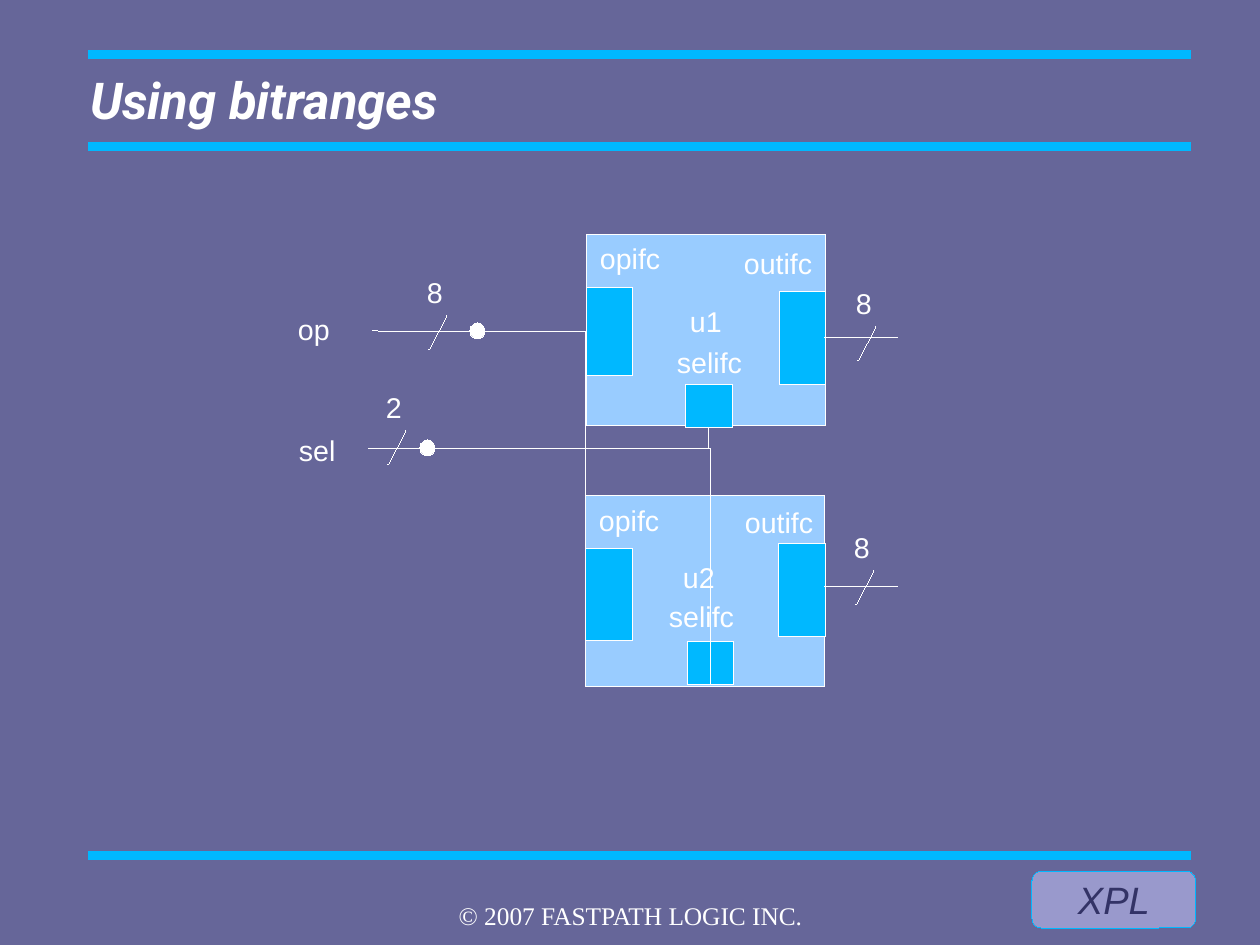
import pptx
import pptx.util
import pptx.dml.color
import pptx.enum.shapes
import pptx.enum.text
import pptx.oxml.ns
import lxml.etree

PX = 8000
HAIRLINE = 0.01
WHITE, CYAN, PALE = "FFFFFF", "00B8FF", "99CCFF"
SHAPE = pptx.enum.shapes.MSO_SHAPE
CONNECTOR = pptx.enum.shapes.MSO_CONNECTOR
ANCHOR = pptx.enum.text.MSO_ANCHOR
ALIGN = pptx.enum.text.PP_ALIGN

LABEL = {"name": "Arial", "size": pptx.util.Pt(18)}
BADGE = {"name": "Arial", "size": pptx.util.Pt(24), "italic": True}
HEADING = {"name": "Roboto", "size": pptx.util.Pt(32), "bold": True, "italic": True}
COPYRIGHT = {"name": "Times New Roman", "size": pptx.util.Pt(16)}


def emu(*lengths):
    return [pptx.util.Emu(n * PX) for n in lengths]


def rgb(code):
    return pptx.dml.color.RGBColor.from_string(code)


def set_all(obj, values):
    for name, value in values.items():
        setattr(obj, name, value)


def write(sp, text, font, color=WHITE, align=ALIGN.LEFT, anchor=ANCHOR.TOP,
          margins=(0, 0, 0, 0)):
    tf = sp.text_frame
    sides = ("margin_left", "margin_top", "margin_right", "margin_bottom")
    set_all(tf, dict(zip(sides, emu(*margins))))
    set_all(tf, {"word_wrap": True, "vertical_anchor": anchor,
                 "auto_size": pptx.enum.text.MSO_AUTO_SIZE.NONE})
    p = tf.paragraphs[0]
    p.alignment = align
    r = p.add_run()
    r.text = text
    set_all(r.font, font)
    r.font.color.rgb = rgb(color)


def add_title(s, text, box):
    sp = s.shapes.title
    set_all(sp, dict(zip(("left", "top", "width", "height"), emu(*box))))
    write(sp, text, HEADING, anchor=ANCHOR.MIDDLE)


def add_label(s, text, x, y, width=92):
    sp = s.shapes.add_textbox(*emu(x, y, width, 54))
    write(sp, text, LABEL, margins=(11, 6, 0, 6))


def add_block(s, box, fill, line=WHITE, kind=SHAPE.RECTANGLE):
    sp = s.shapes.add_shape(kind, *emu(*box))
    sp.shadow.inherit = False
    sp.fill.solid()
    sp.fill.fore_color.rgb = rgb(fill)
    sp.line.color.rgb = rgb(line)
    sp.line.width = pptx.util.Pt(HAIRLINE)
    return sp


def add_wire(s, ends, color=WHITE, width=HAIRLINE, bent=False):
    kind = CONNECTOR.ELBOW if bent else CONNECTOR.STRAIGHT
    sp = s.shapes.add_connector(kind, *emu(*ends))
    sp.line.color.rgb = rgb(color)
    sp.line.width = pptx.util.Pt(width)
    props = sp._element.spPr
    if bent:
        props.find(pptx.oxml.ns.qn("a:prstGeom")).set("prst", "bentConnector2")
    lxml.etree.SubElement(props, pptx.oxml.ns.qn("a:effectLst"))


def add_bus_width(s, text, x, y):
    add_wire(s, (x, y, x + 18, y - 34))
    add_label(s, text, x - 13, y - 81, 40)


def add_unit(s, body, ports, labels):
    add_block(s, (*body, 239, 191), PALE)
    for port in ports:
        add_block(s, port, CYAN)
    for label in labels:
        add_label(s, *label)


def main():
    prs = pptx.Presentation()
    prs.slide_width, prs.slide_height = emu(1260, 945)
    s = prs.slides.add_slide(prs.slide_layouts[5])
    s.background.fill.solid()
    s.background.fill.fore_color.rgb = rgb("666699")

    for y in (54, 147, 855):
        add_wire(s, (88, y, 1191, y), CYAN, 5.67)
    badge = add_block(s, (1032, 871, 164, 57), "9999CC", CYAN, SHAPE.ROUNDED_RECTANGLE)
    write(badge, "XPL", BADGE, "333366", ALIGN.CENTER, ANCHOR.MIDDLE)
    add_title(s, "Using bitranges", (90, 32, 1076, 135))

    add_unit(s, (587, 235),
             [(587, 288, 46, 88), (780, 291, 46, 94), (686, 385, 47, 43)],
             [("opifc", 589, 235), ("outifc", 733, 240),
              ("u1", 679, 298), ("selifc", 666, 339)])
    add_unit(s, (586, 496),
             [(586, 548, 47, 93), (779, 543, 47, 94), (688, 642, 46, 43)],
             [("opifc", 588, 497), ("outifc", 734, 499),
              ("u2", 672, 554), ("selifc", 658, 593)])

    for y in (338, 587):
        add_wire(s, (825, y, 898, y))
    add_wire(s, (373, 331, 587, 332))
    for ends in ((369, 449, 709, 428), (428, 449, 711, 685), (481, 332, 586, 594)):
        add_wire(s, ends, bent=True)
    for x, y in ((470, 323), (420, 440)):
        add_block(s, (x, y, 15, 16), WHITE, kind=SHAPE.OVAL)

    for bus in (("8", 429, 350), ("2", 388, 465), ("8", 858, 361), ("8", 856, 605)):
        add_bus_width(s, *bus)
    add_label(s, "op", 287, 306, 69)
    add_label(s, "sel", 288, 427, 66)

    sp = s.shapes.add_textbox(*emu(431, 900, 399, 26))
    write(sp, "© 2007 FASTPATH LOGIC INC.", COPYRIGHT, align=ALIGN.CENTER)
    prs.save("out.pptx")


if __name__ == "__main__":
    main()
